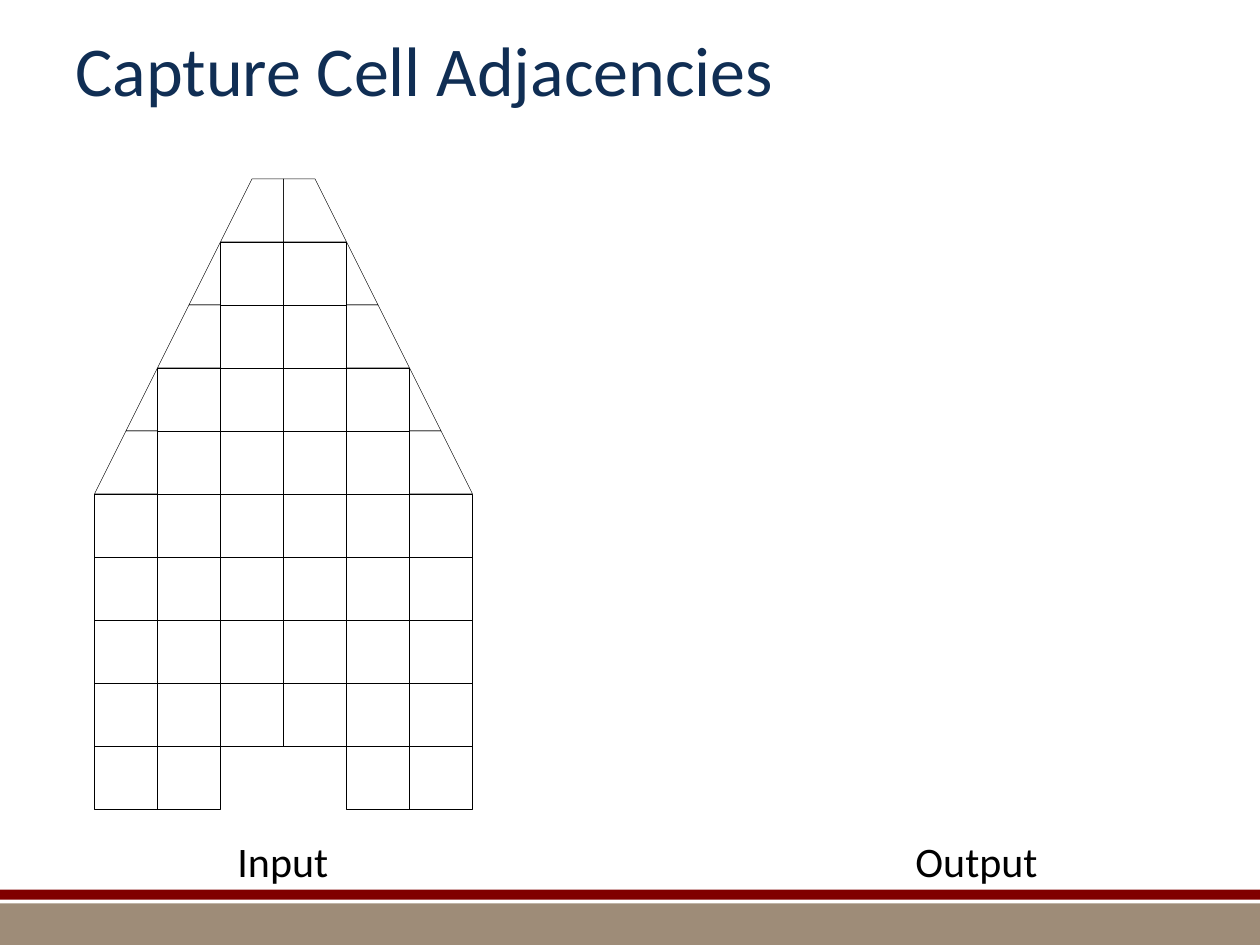
from pptx import Presentation
from pptx.dml.color import RGBColor
from pptx.enum.shapes import MSO_SHAPE
from pptx.enum.text import MSO_ANCHOR, MSO_AUTO_SIZE, PP_ALIGN
from pptx.util import Inches, Pt

TITLE = "Capture Cell Adjacencies"
BANDS = [(7.17, 0.33, "9E8C78"), (7.06, 0.08, "800000")]
LABELS = [("Input", 1.78, 0.93), ("Output", 7.16, 1.18)]
AXIS, TOP, CELL = 2.25, 1.42, 0.5
SQUARE_COLUMNS = [(1, 8), (3, 7), (5, 5)]
EDGE_CELLS = [
    [(0, 0), (0, 1), (1, 1), (0.5, 0)],
    [(1, 1), (1, 2), (1.5, 2)],
    [(1, 2), (1, 3), (2, 3), (1.5, 2)],
    [(2, 3), (2, 4), (2.5, 4)],
    [(2, 4), (2, 5), (3, 5), (2.5, 4)],
]


def color(value):
    return RGBColor.from_string(value)


def write(box, text, size, shade, align, **frame_format):
    frame = box.text_frame
    for name, value in frame_format.items():
        setattr(frame, name, value)
    para = frame.paragraphs[0]
    para.alignment = align
    span = para.add_run()
    span.text = text
    for name, value in {"name": "Calibri", "size": Pt(size)}.items():
        setattr(span.font, name, value)
    span.font.color.rgb = color(shade)


def outline(shape):
    shape.shadow.inherit = False
    shape.fill.background()
    shape.line.color.rgb = color("000000")
    shape.line.width = Pt(0.25)


def add_half(grid, side):
    for column, (first_row, count) in enumerate(SQUARE_COLUMNS):
        left = AXIS + CELL * (column if side > 0 else -column - 1)
        for row in range(first_row, first_row + count):
            outline(grid.shapes.add_shape(
                MSO_SHAPE.RECTANGLE, Inches(left), Inches(TOP + row * CELL),
                Inches(CELL), Inches(CELL)))
    for corners in EDGE_CELLS:
        points = [(Inches(AXIS + side * x * CELL), Inches(TOP + y * CELL))
                  for x, y in corners]
        builder = grid.shapes.build_freeform(*points[0])
        builder.add_line_segments(points[1:], close=True)
        outline(builder.convert_to_shape())


def main():
    deck = Presentation()
    deck.slide_width, deck.slide_height = Inches(10), Inches(7.5)
    page = deck.slides.add_slide(deck.slide_layouts[5])

    for top, height, shade in BANDS:
        band = page.shapes.add_shape(
            MSO_SHAPE.RECTANGLE, 0, Inches(top), deck.slide_width, Inches(height))
        band.shadow.inherit = False
        band.fill.solid()
        band.fill.fore_color.rgb = color(shade)
        band.line.fill.background()

    title = page.shapes.title
    place = {"left": 0.5, "top": 0, "width": 9, "height": 1.08}
    for name, value in place.items():
        setattr(title, name, Inches(value))
    write(title, TITLE, 40, "102E54", PP_ALIGN.LEFT,
          vertical_anchor=MSO_ANCHOR.MIDDLE, auto_size=MSO_AUTO_SIZE.NONE)

    grid = page.shapes.add_group_shape()
    for side in (1, -1):
        add_half(grid, side)

    for text, left, width in LABELS:
        box = page.shapes.add_textbox(
            Inches(left), Inches(6.58), Inches(width), Inches(0.5))
        write(box, text, 24, "000000", PP_ALIGN.CENTER,
              word_wrap=False, auto_size=MSO_AUTO_SIZE.SHAPE_TO_FIT_TEXT)

    deck.save("out.pptx")


if __name__ == "__main__":
    main()
